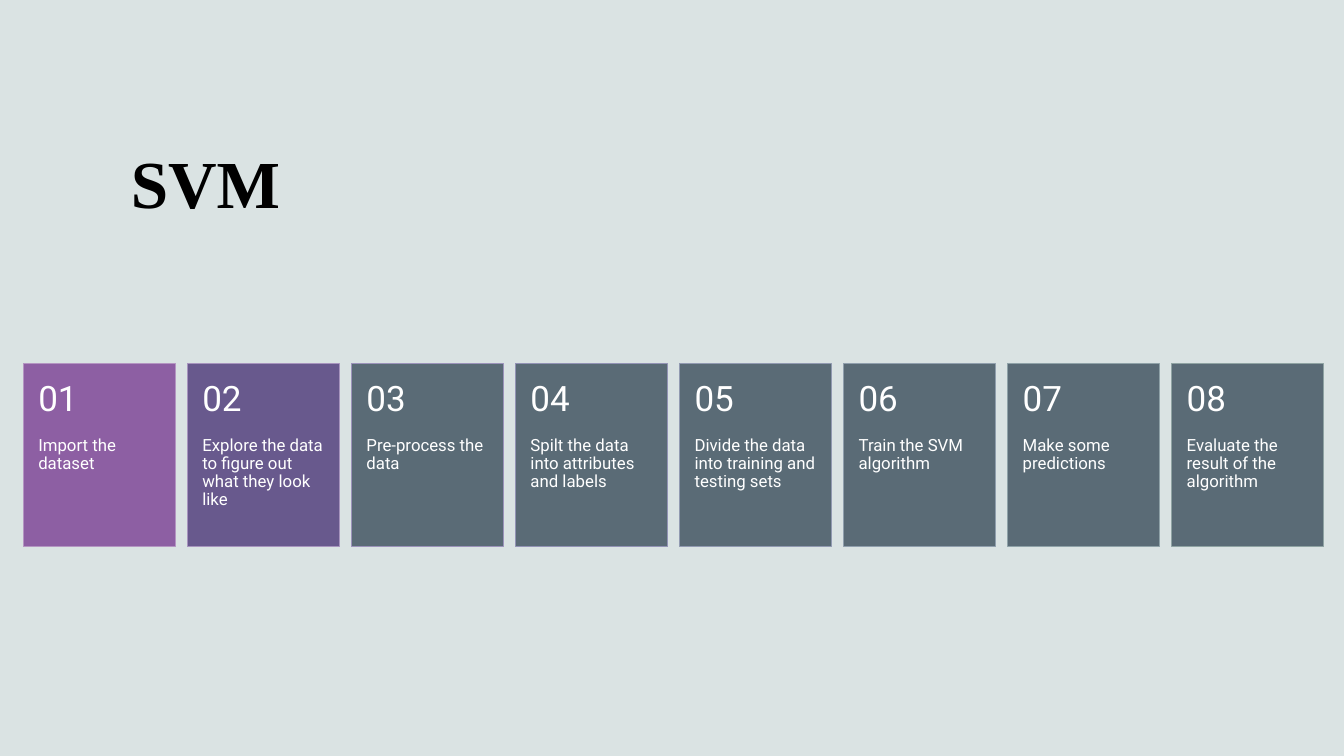
from dataclasses import dataclass

from pptx import Presentation
from pptx.dml.color import RGBColor
from pptx.enum.shapes import MSO_SHAPE
from pptx.enum.text import MSO_ANCHOR
from pptx.util import Inches, Pt

RECTANGLE = MSO_SHAPE.RECTANGLE
TOP = MSO_ANCHOR.TOP
MIDDLE = MSO_ANCHOR.MIDDLE

SLIDE_WIDTH, SLIDE_HEIGHT = 13.33, 7.5
BLANK_LAYOUT = 6


@dataclass(frozen=True)
class Theme:
    background: str = "DAE3E3"
    title_color: str = "000000"
    card_text: str = "FFFFFF"
    purple: str = "8D5FA3"
    violet: str = "68598D"
    slate: str = "5A6B76"
    outlines: tuple = ("B495C2", "A794BE", "9B93BA", "9293B5",
                       "919AB1", "909FAD", "8FA2A8", "8FA3A3")
    title_font: str = "Times New Roman"
    card_font: str = "Roboto"
    title_size: float = 48
    number_size: float = 25
    step_size: float = 12
    outline_width: float = 0.85


@dataclass(frozen=True)
class CardGrid:
    count: int
    left: float = 0.23
    right: float = 0.2
    top: float = 3.61
    card_width: float = 1.51
    card_height: float = 1.81
    rows: int = 5

    def box(self, column, row, row_span):
        free_width = SLIDE_WIDTH - self.left - self.right - self.card_width
        pitch = free_width / (self.count - 1)
        row_height = self.card_height / self.rows
        return (self.left + column * pitch, self.top + row * row_height,
                self.card_width, row_span * row_height)


class SlideBuilder:
    def __init__(self, slide, theme):
        self.slide = slide
        self.theme = theme
        fill = slide.background.fill
        fill.solid()
        fill.fore_color.rgb = RGBColor.from_string(theme.background)

    def share_box(self, left, top, width, height):
        return (left * SLIDE_WIDTH, top * SLIDE_HEIGHT,
                width * SLIDE_WIDTH, height * SLIDE_HEIGHT)

    def group(self):
        return self.slide.shapes.add_group_shape().shapes

    def card(self, shapes, box, fill, outline):
        shape = shapes.add_shape(RECTANGLE, *map(Inches, box))
        shape.shadow.inherit = False
        shape.fill.solid()
        shape.fill.fore_color.rgb = RGBColor.from_string(fill)
        shape.line.color.rgb = RGBColor.from_string(outline)
        shape.line.width = Pt(self.theme.outline_width)

    def text(self, shapes, box, wording, font, size, color, bold=False,
             insets=(0.1, 0.05, 0.1, 0.05), anchor=TOP, line_spacing=1.0):
        text_frame = shapes.add_textbox(*map(Inches, box)).text_frame
        text_frame.word_wrap = True
        text_frame.vertical_anchor = anchor
        (text_frame.margin_left, text_frame.margin_top,
         text_frame.margin_right, text_frame.margin_bottom) = map(Inches, insets)
        text_frame.text = wording
        paragraph = text_frame.paragraphs[0]
        paragraph.line_spacing = line_spacing
        run = paragraph.runs[0]
        run.font.name = font
        run.font.size = Pt(size)
        run.font.bold = bold
        run.font.color.rgb = RGBColor.from_string(color)

    def title(self, wording, box):
        theme = self.theme
        self.text(self.slide.shapes, box, wording, theme.title_font,
                  theme.title_size, theme.title_color, bold=True)

    def step(self, shapes, grid, column, wording):
        theme = self.theme
        fills = (theme.purple, theme.violet)
        fill = fills[column] if column < len(fills) else theme.slate
        self.card(shapes, grid.box(column, 0, 5), fill, theme.outlines[column])
        self.text(shapes, grid.box(column, 2, 3), wording, theme.card_font,
                  theme.step_size, theme.card_text,
                  insets=(0.15, 0, 0.15, 0.36), line_spacing=0.9)
        self.text(shapes, grid.box(column, 0, 2), f"{column + 1:02d}",
                  theme.card_font, theme.number_size, theme.card_text,
                  insets=(0.15, 0.18, 0.15, 0.18), anchor=MIDDLE,
                  line_spacing=0.9)


STEPS = (
    "Import the dataset",
    "Explore the data to figure out what they look like",
    "Pre-process the data",
    "Spilt the data into attributes and labels",
    "Divide the data into training and testing sets",
    "Train the SVM algorithm",
    "Make some predictions",
    "Evaluate the result of the algorithm",
)


def main():
    presentation = Presentation()
    presentation.slide_width = Inches(SLIDE_WIDTH)
    presentation.slide_height = Inches(SLIDE_HEIGHT)
    slide = presentation.slides.add_slide(presentation.slide_layouts[BLANK_LAYOUT])
    builder = SlideBuilder(slide, Theme())

    grid = CardGrid(len(STEPS))
    step_shapes = builder.group()
    for column, wording in enumerate(STEPS):
        builder.step(step_shapes, grid, column, wording)
    builder.title("SVM", builder.share_box(0.09, 0.18, 0.24, 0.12))

    presentation.save("out.pptx")


if __name__ == "__main__":
    main()
